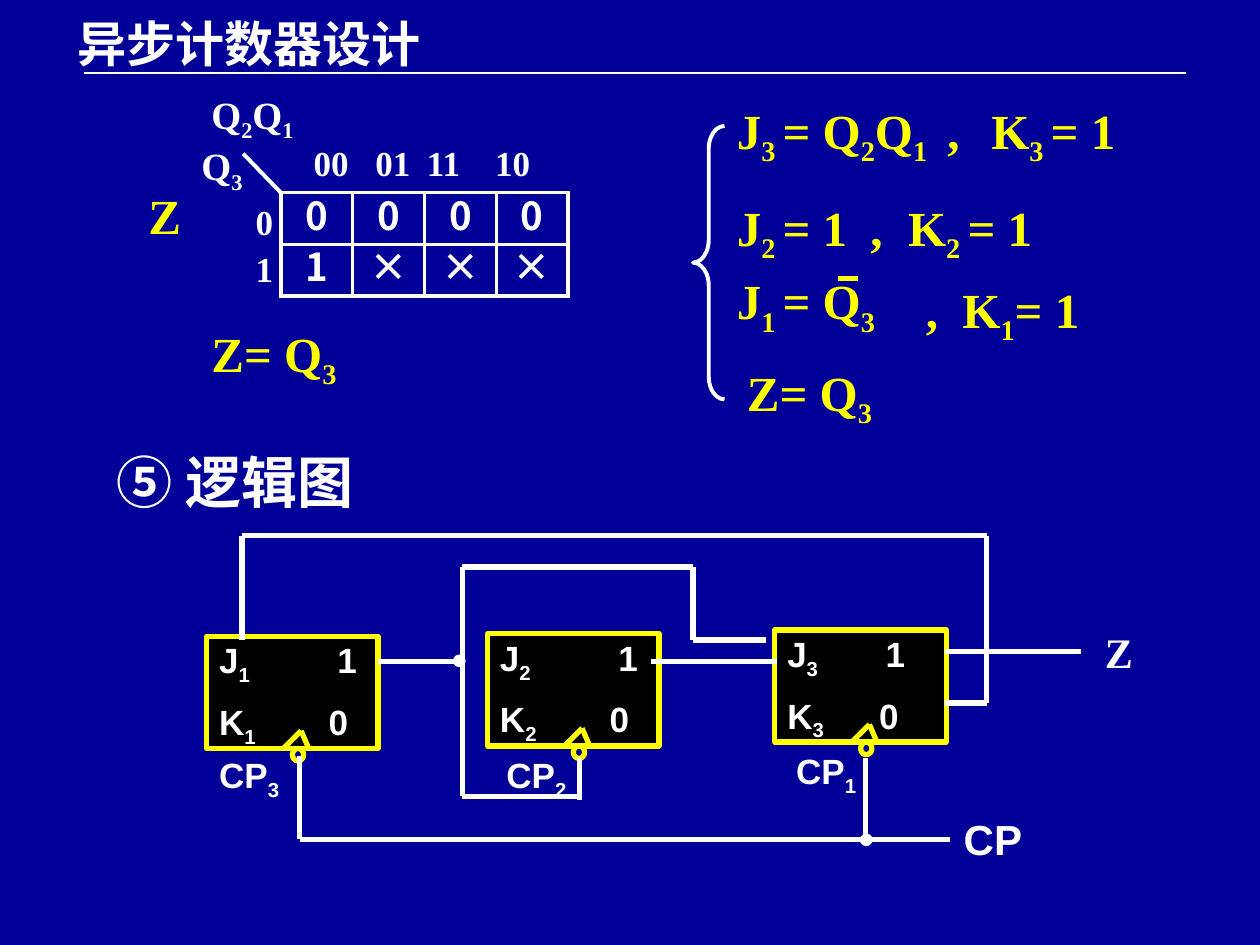
import itertools

import pptx
import pptx.dml.color
import pptx.enum.shapes
import pptx.enum.text
import pptx.oxml
import pptx.oxml.ns
import pptx.util

Cm, Pt = pptx.util.Cm, pptx.util.Pt
RGBColor = pptx.dml.color.RGBColor
MSO_SHAPE = pptx.enum.shapes.MSO_SHAPE
ANCHOR = pptx.enum.text.MSO_ANCHOR
CENTER = pptx.enum.text.PP_ALIGN.CENTER

NAVY = RGBColor(0x00, 0x00, 0x99)
WHITE = RGBColor(0xFF, 0xFF, 0xFF)
YELLOW = RGBColor(0xFF, 0xFF, 0x00)
BLACK = RGBColor(0x00, 0x00, 0x00)
TIMES, ARIAL, NOTO = "Times New Roman", "Arial", "Noto Sans CJK SC"

# "_" marks a subscript; positions are in inches: left, top, width, height
LABELS = [
    ("异步计数器设计", (0.52, 0, 3.4, 0.62), 28, NOTO, WHITE),
    ("⑤ 逻辑图", (0.83, 3.5, 2.67, 0.63), 32, NOTO, WHITE),
    ("Q_2Q_1", (1.58, 0.67, 1.08, 0.47), 22, TIMES, WHITE),
    ("Q_3", (1.5, 1.08, 0.58, 0.47), 22, TIMES, WHITE),
    ("Z", (1.08, 1.42, 0.58, 0.57), 28, TIMES, YELLOW),
    ("Z= Q_3", (1.58, 2.52, 1.92, 0.57), 28, TIMES, YELLOW),
    ("J_1 = Q_3", (5.75, 2.1, 1.92, 0.57), 28, TIMES, YELLOW),
    ("Z= Q_3", (5.83, 2.83, 1.92, 0.57), 28, TIMES, YELLOW),
    ("CP_3", (1.64, 5.93, 0.95, 0.43), 20, ARIAL, WHITE),
    ("CP_2", (3.92, 5.93, 0.95, 0.43), 20, ARIAL, WHITE),
    ("CP_1", (6.22, 5.9, 0.95, 0.43), 20, ARIAL, WHITE),
    ("CP", (7.55, 6.41, 0.95, 0.5), 24, ARIAL, WHITE),
    ("Z", (8.67, 4.92, 0.5, 0.5), 24, TIMES, WHITE),
]
EQUATIONS = [
    ("J_3 = Q_2Q_1\t,\tK_3 = 1", (1.67, 2.02)),
    ("J_2 = 1\t,\tK_2 = 1", (1.06, 1.36)),
]
MAP_COLUMNS = ("00\t01\t11\t10", (0.49, 0.9, 1.44))
MAP_ROWS = [("0", ()), ("1", ())]
MAP_VALUES = ["0000", "1×××"]
MAP_LEFT, MAP_TOP, CELL_WIDTH, CELL_HEIGHT = 2.23, 1.53, 0.57, 0.41

FLIP_FLOPS = [
    ("1", 1.64, 5.05, 0.94, 0.87),
    ("2", 3.87, 5.03, 0.94, 0.87),
    ("3", 6.15, 5, 0.78, 0.73),
]
FLIP_FLOP_SIZE = (1.36, 0.89)
CLOCK_MARK = [(0.61, 0.89), (0.75, 0.75), (0.81, 0.89)]

WIRES = [
    [(3, 5.25), (3.67, 5.25)],
    [(4.6, 6.02), (4.6, 6.35)],
    [(4.6, 6.32), (3.67, 6.32), (3.67, 4.5), (5.5, 4.5), (5.5, 5.08), (6.08, 5.08)],
    [(5.17, 5.25), (6.17, 5.25)],
    [(7.5, 5.58), (7.83, 5.58), (7.83, 4.25), (1.92, 4.25), (1.92, 5.08)],
    [(7.5, 5.17), (8.58, 5.17)],
    [(7.54, 6.66), (2.38, 6.66), (2.38, 6)],
    [(6.87, 6.02), (6.87, 6.66)],
]
JUNCTIONS = [(3.6, 5.2), (6.83, 6.62)]


def lengths(*inches):
    return [Cm(value * 2.54) for value in inches]


def add_run(paragraph, text, size, font, color, subscript=False):
    run = paragraph.add_run()
    run.text = text
    run.font.size = Pt(size)
    run.font.bold = True
    run.font.name = font
    run.font.color.rgb = color
    properties = run._r.get_or_add_rPr()
    if subscript:
        properties.set("baseline", "-25000")
    if font == NOTO:
        east_asian = pptx.oxml.ns.qn("a:ea")
        properties.makeelement(east_asian)
        properties.append(properties.makeelement(east_asian, {"typeface": font}))


def write(paragraph, text, size, font, color, tabs=()):
    if tabs:
        stops = "".join(f'<a:tab pos="{stop}" algn="l"/>' for stop in lengths(*tabs))
        paragraph._p.get_or_add_pPr().append(pptx.oxml.parse_xml(
            f'<a:tabLst {pptx.oxml.ns.nsdecls("a")}>{stops}</a:tabLst>'))
    first, *others = text.split("_")
    if first:
        add_run(paragraph, first, size, font, color)
    for part in others:
        length = 2 if part[1:2] == " " else 1
        add_run(paragraph, part[:length], size, font, color, True)
        if part[length:]:
            add_run(paragraph, part[length:], size, font, color)


def write_lines(frame, lines, size, font, color, gap=0, spacing=None):
    for index, (text, tabs) in enumerate(lines):
        paragraph = frame.add_paragraph() if index else frame.paragraphs[0]
        if spacing:
            paragraph.line_spacing = spacing
        if index:
            paragraph.space_before = Pt(gap)
        write(paragraph, text, size, font, color, tabs)


def add_text(slide, lines, box, *style, **layout):
    frame = slide.shapes.add_textbox(*lengths(*box)).text_frame
    frame.word_wrap = True
    write_lines(frame, lines, *style, **layout)
    return frame


def add_lines(slide, points, color, width):
    for start, end in itertools.pairwise(points):
        connector = slide.shapes.add_connector(
            pptx.enum.shapes.MSO_CONNECTOR.STRAIGHT, *lengths(*start, *end))
        connector.line.color.rgb = color
        connector.line.width = Pt(width)
        connector._element.spPr.append(pptx.oxml.parse_xml(
            f'<a:effectLst {pptx.oxml.ns.nsdecls("a")}/>'))


def add_shape(slide, kind, box, line, width, fill=None):
    shape = slide.shapes.add_shape(kind, *lengths(*box))
    shape.shadow.inherit = False
    shape.line.color.rgb = line
    shape.line.width = Pt(width)
    if fill is None:
        shape.fill.background()
    else:
        shape.fill.solid()
        shape.fill.fore_color.rgb = fill
    return shape


def add_map(slide):
    rows, columns = len(MAP_VALUES), len(MAP_VALUES[0])
    table = slide.shapes.add_table(rows, columns, *lengths(
        MAP_LEFT, MAP_TOP, columns * CELL_WIDTH, rows * CELL_HEIGHT)).table
    table.first_row = table.horz_banding = False
    for row, column in itertools.product(range(rows), range(columns)):
        cell = table.cell(row, column)
        cell.margin_left = cell.margin_right = cell.margin_top = cell.margin_bottom = 0
        cell.vertical_anchor = ANCHOR.MIDDLE
        properties = cell._tc.get_or_add_tcPr()
        for side in "LRTB":
            properties.append(pptx.oxml.parse_xml(
                f'<a:ln{side} {pptx.oxml.ns.nsdecls("a")} w="{Pt(2.25)}"><a:solidFill>'
                f'<a:srgbClr val="{WHITE}"/></a:solidFill></a:ln{side}>'))
        cell.fill.background()
        paragraph = cell.text_frame.paragraphs[0]
        paragraph.alignment = CENTER
        paragraph.line_spacing = Pt(26)
        write(paragraph, MAP_VALUES[row][column], 22, NOTO, WHITE)
    add_lines(slide, [(1.93, 1.22), (MAP_LEFT, MAP_TOP)], WHITE, 2.25)
    add_text(slide, [MAP_COLUMNS], (2.39, 1.07, 2.11, 0.43), 20, TIMES, WHITE)
    add_text(slide, MAP_ROWS, (1.93, 1.65, 0.34, 0.7), 20, TIMES, WHITE,
             gap=11, spacing=0.65)


def add_flip_flop(slide, number, left, top, one_tab, zero_tab):
    box = add_shape(slide, MSO_SHAPE.RECTANGLE, (left, top, *FLIP_FLOP_SIZE),
                    YELLOW, 3, BLACK)
    frame = box.text_frame
    frame.margin_left, frame.margin_right, frame.margin_top, frame.margin_bottom = lengths(
        0.1, 0.02, 0.01, 0.01)
    frame.vertical_anchor = ANCHOR.MIDDLE
    lines = [(f"J_{number}\t1", (one_tab,)), (f"K_{number}\t0", (zero_tab,))]
    write_lines(frame, lines, 20, ARIAL, WHITE, gap=12, spacing=0.85)
    for paragraph in frame.paragraphs:
        paragraph.alignment = pptx.enum.text.PP_ALIGN.LEFT
    add_lines(slide, [(left + x, top + y) for x, y in CLOCK_MARK], YELLOW, 3)
    add_shape(slide, MSO_SHAPE.OVAL, (left + 0.68, top + 0.89, 0.09, 0.1), YELLOW, 3)


def main():
    presentation = pptx.Presentation()
    presentation.slide_width, presentation.slide_height = lengths(10, 7.5)
    slide = presentation.slides.add_slide(presentation.slide_layouts[6])
    slide.background.fill.solid()
    slide.background.fill.fore_color.rgb = NAVY

    add_lines(slide, [(0.67, 0.58), (9.41, 0.58)], WHITE, 1)
    add_map(slide)
    brace = add_shape(slide, MSO_SHAPE.LEFT_BRACE, (5.5, 1, 0.25, 2.17), WHITE, 2.25)
    brace.adjustments[0], brace.adjustments[1] = 0.72, 0.5
    add_text(slide, EQUATIONS, (5.75, 0.75, 3.83, 1.27), 28, TIMES, YELLOW, gap=17)
    add_text(slide, [(",\tK_1= 1", (0.29,))], (7.25, 2.17, 1.58, 0.57), 28, TIMES, YELLOW)
    add_lines(slide, [(6.65, 2.21), (6.81, 2.21)], YELLOW, 3)

    for flip_flop in FLIP_FLOPS:
        add_flip_flop(slide, *flip_flop)
    for wire in WIRES:
        add_lines(slide, wire, WHITE, 3)
    for left, top in JUNCTIONS:
        add_shape(slide, MSO_SHAPE.OVAL, (left, top, 0.09, 0.09), WHITE, 0.75, WHITE)
    for text, box, *style in LABELS:
        frame = add_text(slide, [(text, ())], box, *style)
        if box[1] == 0:
            frame.vertical_anchor = ANCHOR.BOTTOM
    presentation.save("out.pptx")


if __name__ == "__main__":
    main()
